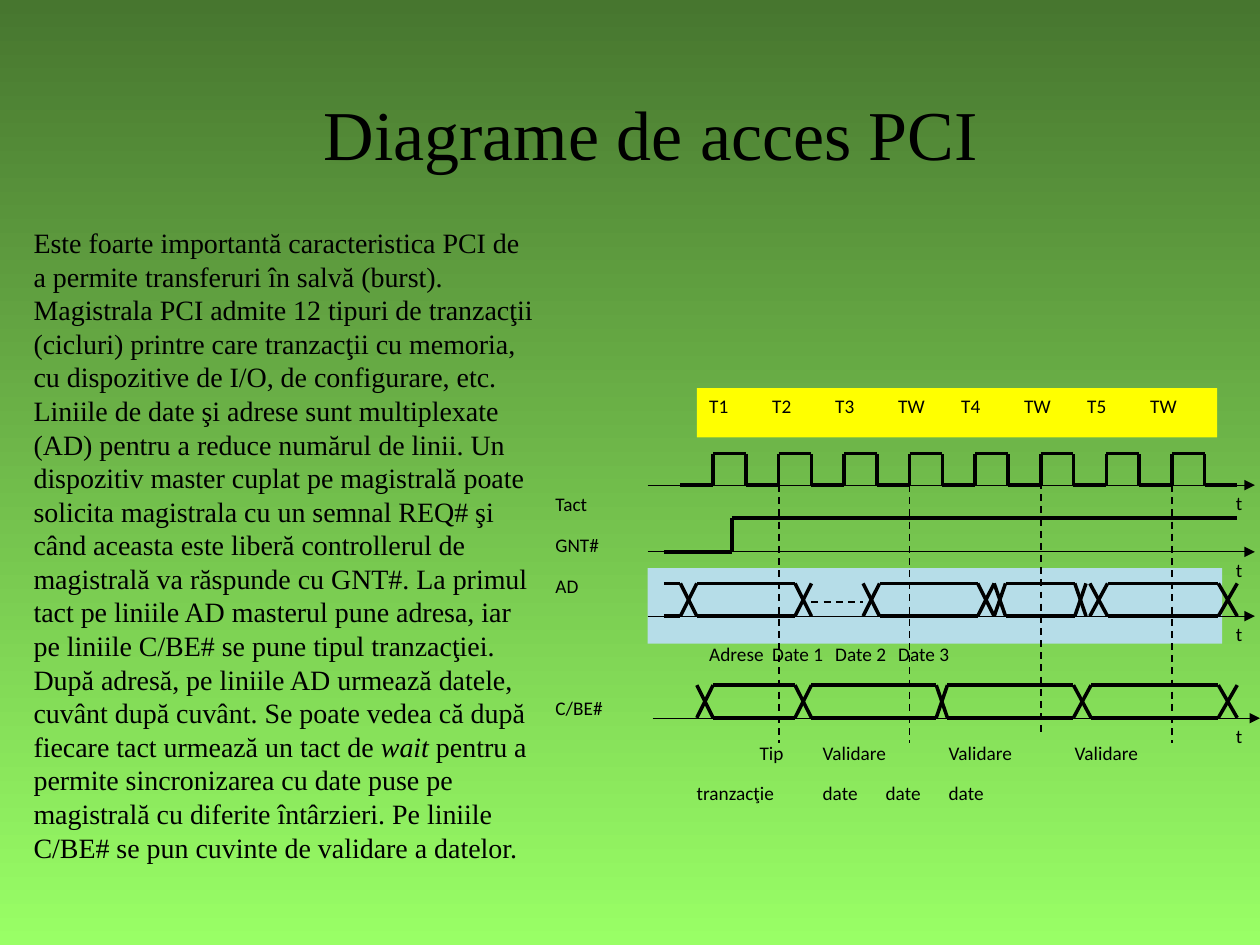
from lxml.etree import SubElement
from pptx import Presentation
from pptx.dml.color import RGBColor
from pptx.enum.dml import MSO_LINE
from pptx.enum.shapes import MSO_CONNECTOR, MSO_SHAPE
from pptx.enum.text import MSO_ANCHOR, MSO_AUTO_SIZE, PP_ALIGN
from pptx.oxml.ns import qn
from pptx.util import Pt

COLORS = {
    "background_top": "47762F",
    "background_bottom": "99FF66",
    "ink": "000000",
    "clock_band": "FFFF00",
    "address_band": "B6DDE8",
}


def write_text(shape, paragraphs, size=11, font="Calibri", align=PP_ALIGN.LEFT,
               line_spacing=None, space_after=10, tabs=()):
    """Fill a shape with paragraphs; *asterisks* mark italics, tabs holds stops per paragraph."""
    frame = shape.text_frame
    frame.word_wrap = True
    frame.auto_size = MSO_AUTO_SIZE.NONE
    frame.vertical_anchor = MSO_ANCHOR.TOP
    for index, text in enumerate(paragraphs):
        paragraph = frame.paragraphs[0] if index == 0 else frame.add_paragraph()
        paragraph.alignment = align
        paragraph.line_spacing = line_spacing
        paragraph.space_before = Pt(0)
        paragraph.space_after = Pt(space_after)
        properties = paragraph._p.get_or_add_pPr()
        properties.set("marL", "0")
        properties.set("indent", "0")
        SubElement(properties, qn("a:buNone"))
        if tabs:
            tab_list = SubElement(properties, qn("a:tabLst"))
            for stop in tabs[index]:
                SubElement(tab_list, qn("a:tab"), pos=str(Pt(stop)), algn="l")
        for part, piece in enumerate(text.split("*")):
            run = paragraph.add_run()
            run.text = piece
            run.font.name = font
            run.font.size = Pt(size)
            run.font.italic = part % 2 == 1
            run.font.color.rgb = RGBColor.from_string(COLORS["ink"])


def draw_line(x1, y1, x2, y2, width=2, dashed=False, arrow=False):
    line = slide.shapes.add_connector(MSO_CONNECTOR.STRAIGHT, Pt(x1), Pt(y1), Pt(x2), Pt(y2))
    line.line.color.rgb = RGBColor.from_string(COLORS["ink"])
    line.line.width = Pt(width)
    if dashed:
        line.line.dash_style = MSO_LINE.DASH
    if arrow:
        SubElement(line.line._get_or_add_ln(), qn("a:tailEnd"), type="triangle")
    SubElement(line._element.spPr, qn("a:effectLst"))


presentation = Presentation()
presentation.slide_width = Pt(720)
presentation.slide_height = Pt(540)
slide = presentation.slides.add_slide(presentation.slide_layouts[1])

# Background
background = slide.background.fill
background.gradient()
background.gradient_angle = 270
for stop, name in zip(background.gradient_stops, ("background_top", "background_bottom")):
    stop.color.rgb = RGBColor.from_string(COLORS[name])

# Title and explanation
title, body = slide.placeholders
title.left, title.top, title.width, title.height = Pt(113.8), Pt(48.2), Pt(516.2), Pt(90)
write_text(title, ["Diagrame de acces PCI"], size=40, font="Times New Roman",
           align=PP_ALIGN.CENTER, line_spacing=Pt(48), space_after=0)
body.left, body.top, body.width, body.height = Pt(12), Pt(125.3), Pt(300), Pt(391)
write_text(body, [
    "Este foarte importantă caracteristica PCI de a permite transferuri în salvă (burst). "
    "Magistrala PCI admite 12 tipuri de tranzacţii (cicluri) printre care tranzacţii cu "
    "memoria, cu dispozitive de I/O, de configurare, etc.",
    "Liniile de date şi adrese sunt multiplexate (AD) pentru a reduce numărul de linii. Un "
    "dispozitiv master cuplat pe magistrală poate solicita magistrala cu un semnal REQ# şi "
    "când aceasta este liberă controllerul de magistrală va răspunde cu GNT#. La primul tact "
    "pe liniile AD masterul pune adresa, iar pe liniile C/BE# se pune tipul tranzacţiei. După "
    "adresă, pe liniile AD urmează datele, cuvânt după cuvânt. Se poate vedea că după fiecare "
    "tact urmează un tact de *wait* pentru a permite sincronizarea cu date puse pe magistrală "
    "cu diferite întârzieri. Pe liniile C/BE# se pun cuvinte de validare a datelor.",
], size=16, font="Times New Roman", line_spacing=Pt(19.2), space_after=0)

# Coloured bands
bands = {}
for name, left, top, width, height in (
    ("clock_band", 398.2, 221.8, 297.4, 28.1),
    ("address_band", 370.1, 324.7, 328.3, 43.2),
):
    band = slide.shapes.add_shape(MSO_SHAPE.RECTANGLE, Pt(left), Pt(top), Pt(width), Pt(height))
    band.shadow.inherit = False
    band.fill.solid()
    band.fill.fore_color.rgb = RGBColor.from_string(COLORS[name])
    band.line.fill.background()
    bands[name] = band
write_text(bands["clock_band"],
           ["\t".join(["T1", "T2", "T3", "TW", "T4", "TW", "T5", "TW"])],
           tabs=[[33.7, 64.6, 92.6, 125.1, 156, 188.6, 217.1]])

# Signal names, with C/BE# two rows further down
names = slide.shapes.add_textbox(Pt(310.3), Pt(277.9), Pt(59.8), Pt(164.2))
write_text(names, ["Tact", "GNT#", "AD", "C/BE#"])
names.text_frame.paragraphs[-1].space_before = Pt(46.8)

# Captions under the buses
address_caption = slide.shapes.add_textbox(Pt(398.2), Pt(363.6), Pt(297.4), Pt(28.1))
write_text(address_caption, ["\t".join(["Adrese", "Date 1", "Date 2", "Date 3"])],
           tabs=[[88.6, 149.7, 206.3]])
command_caption = slide.shapes.add_textbox(Pt(391), Pt(419.8), Pt(307.4), Pt(40.3))
write_text(command_caption,
           ["\t".join(["", "Tip", "Validare", "Validare", "Validare"]),
            "\t".join(["tranzacţie", "date", "date", "date"])],
           tabs=[[14.9, 68, 139.4, 202.9], [78.9, 150.9, 216]])

# Time axes
for left, axis_y, label_top in (
    (370.1, 277.2, 277.2), (370.1, 315.4, 315.4), (370.1, 352.1, 352.1), (373, 410.4, 410.4),
):
    draw_line(left, axis_y, left + 347, axis_y, width=0.5, arrow=True)
    label = slide.shapes.add_textbox(Pt(699.1), Pt(label_top), Pt(18.7), Pt(18.7))
    write_text(label, ["t"])

# Clock: low and high half periods in turn
CLOCK_LEFT, HALF_PERIOD, CLOCK_HIGH, CLOCK_LOW = 388.8, 18.72, 259.2, 277.2
for half in range(17):
    x = CLOCK_LEFT + half * HALF_PERIOD
    level = CLOCK_HIGH if half % 2 else CLOCK_LOW
    draw_line(x, level, x + HALF_PERIOD, level)
    if half:
        draw_line(x, CLOCK_LOW, x, CLOCK_HIGH)

# Grant signal
draw_line(379.4, 315.4, 418.3, 315.4)
draw_line(418.3, 315.4, 418.3, 295.9)
draw_line(418.3, 295.9, 707, 295.9)

# Buses: top, bottom, crossings, stable spans
for top, bottom, crossings, spans in (
    (333.4, 352.1,
     [(388.8, 398.2), (454.3, 463.7), (493.2, 502.6), (558.7, 568.1),
      (568.1, 574.6), (614.2, 620.6), (622.8, 632.9), (696.2, 707)],
     [(379.4, 388.8), (398.2, 454.3), (502.6, 558.7), (574.6, 614.2), (632.9, 696.2)]),
    (391.5, 410.2,
     [(398.2, 407.5), (454.3, 463.7), (535, 541.4), (613.4, 623.5), (696.2, 707)],
     [(407.5, 454.3), (463.7, 535), (541.4, 613.4), (623.5, 696.2)]),
):
    for start, end in crossings:
        draw_line(start, top, end, bottom)
        draw_line(start, bottom, end, top)
    for start, end in spans:
        draw_line(start, top, end, top)
        draw_line(start, bottom, end, bottom)

# Floating bus and clock edge guides
draw_line(463.7, 344.2, 493.2, 344.2, width=1, dashed=True)
for x, top, bottom in (
    (445, 277.2, 424.8), (519.8, 277.2, 424.8), (594.7, 268.6, 419.8), (669.6, 277.2, 424.8),
):
    draw_line(x, top, x, bottom, width=1, dashed=True)

presentation.save("out.pptx")
